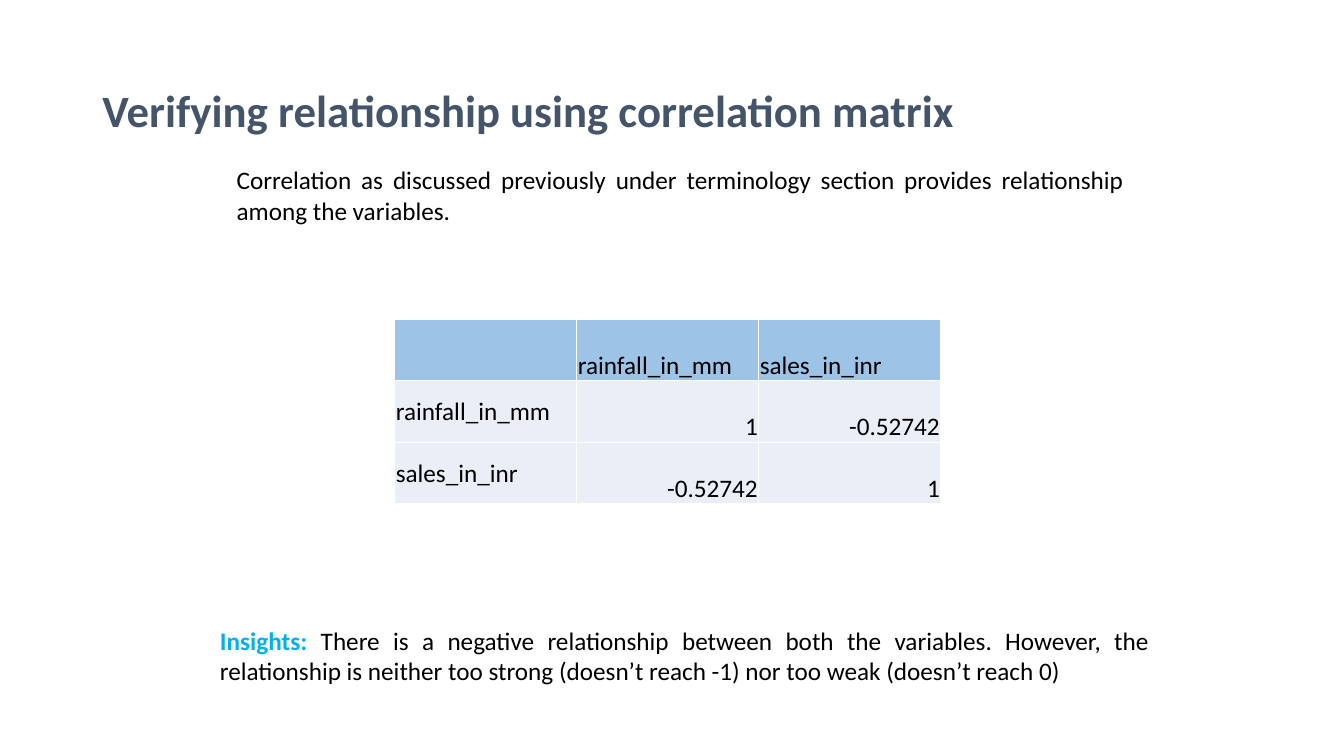
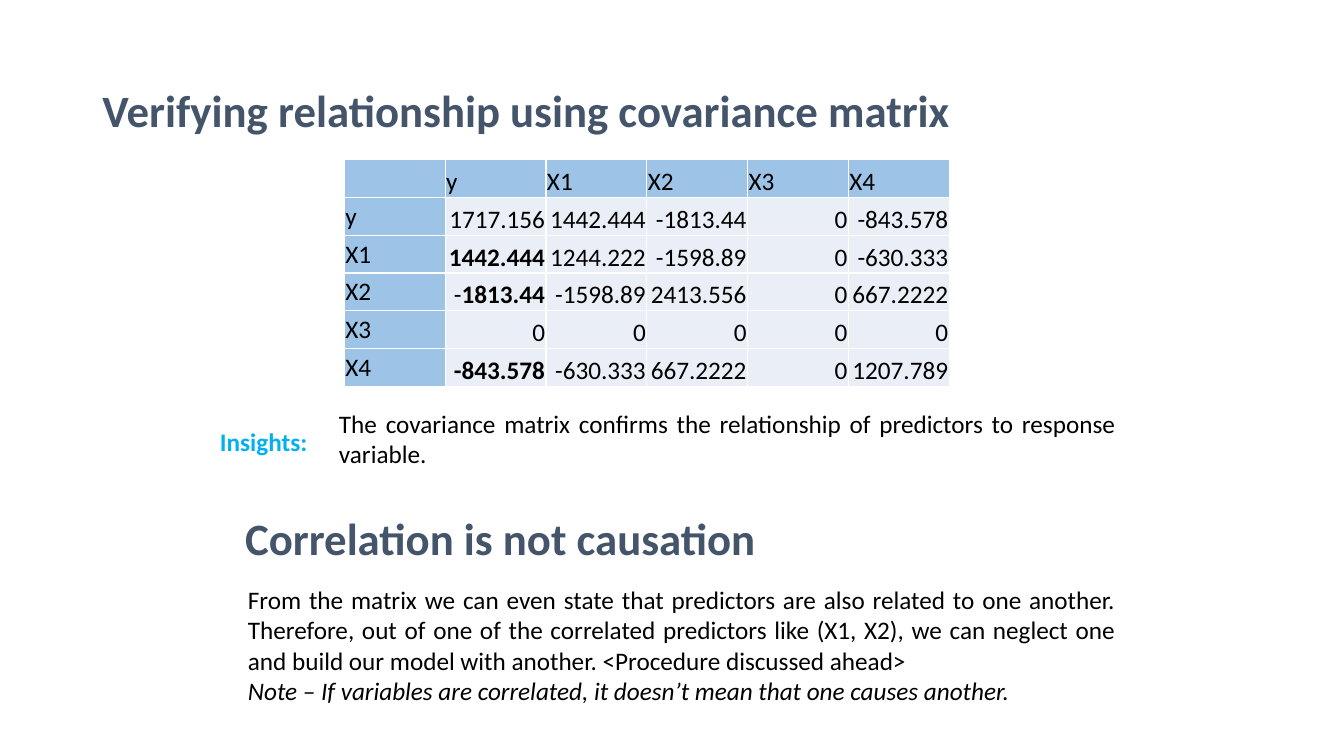
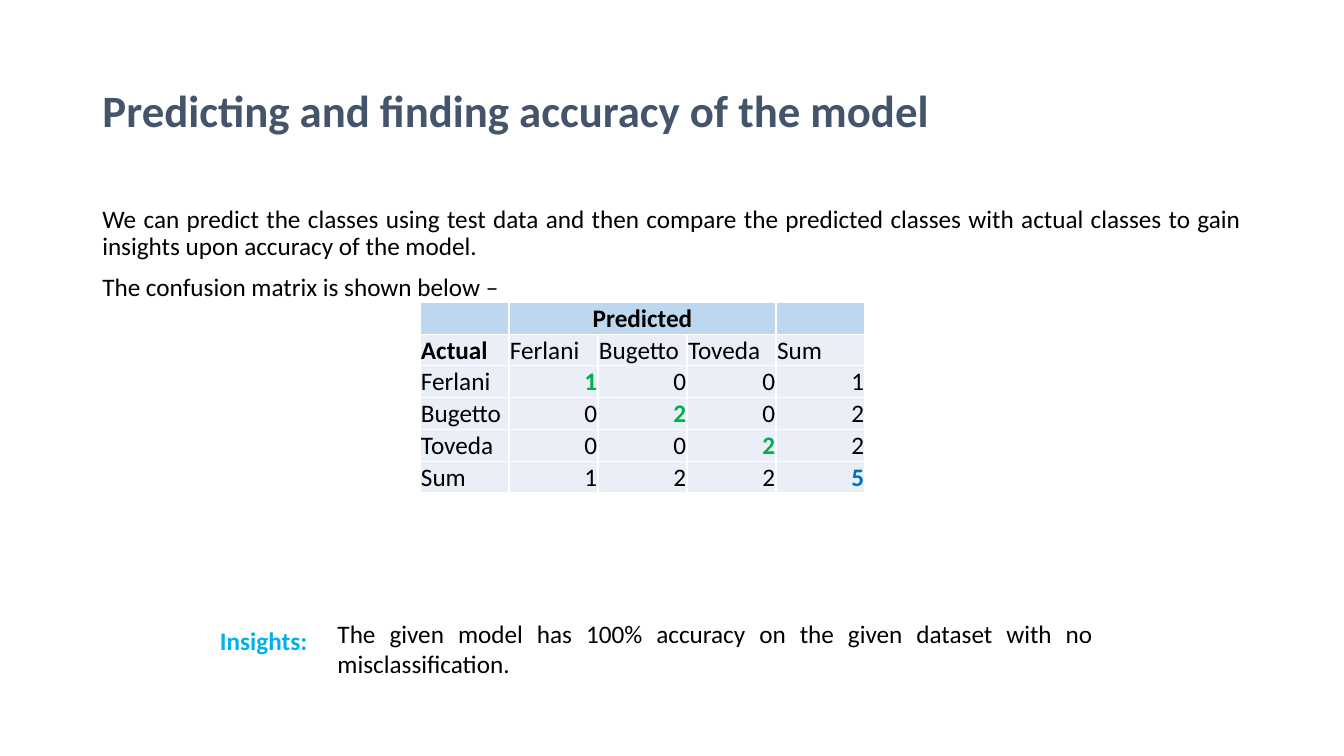
from lxml.etree import SubElement
from pptx import Presentation
from pptx.dml.color import RGBColor
from pptx.enum.text import MSO_ANCHOR as Anchor, PP_ALIGN as Align
from pptx.oxml.ns import qn
from pptx.util import Pt

BLACK = RGBColor(0x00, 0x00, 0x00)
WHITE = RGBColor(0xFF, 0xFF, 0xFF)
SLATE = RGBColor(0x44, 0x54, 0x6A)
CYAN = RGBColor(0x00, 0xB0, 0xF0)
GREEN = RGBColor(0x00, 0xB0, 0x50)
BLUE = RGBColor(0x00, 0x70, 0xC0)
HEADER_BLUE = RGBColor(0x9D, 0xC3, 0xE6)
LIGHT_BLUE = RGBColor(0xBD, 0xD7, 0xEE)
PALE = RGBColor(0xEA, 0xEF, 0xF7)

BODY = {"name": "Calibri", "size": Pt(18), "bold": False, "italic": False, "color": BLACK}
HEADING = {"size": Pt(32), "bold": True, "color": SLATE}
LABEL = {"bold": True, "color": CYAN}
BOLD = {"bold": True}
HIT = {"bold": True, "color": GREEN}
TOTAL = {"bold": True, "color": BLUE}
CELL_MARGINS = {"margin_left": Pt(0.72), "margin_right": Pt(0.72),
                "margin_top": Pt(0.72), "margin_bottom": Pt(0)}


def set_attributes(target, values):
    for name, value in values.items():
        setattr(target, name, value)


def write_runs(paragraph, content, **paragraph_format):
    """Fill a paragraph from a plain string or a list of (text, format) runs."""
    set_attributes(paragraph, paragraph_format)
    runs = [(content, {})] if isinstance(content, str) else content
    for text, changes in runs:
        run = paragraph.add_run()
        run.text = text
        font_format = {**BODY, **changes}
        color = font_format.pop("color")
        set_attributes(run.font, font_format)
        run.font.color.rgb = color


def add_borders(cell):
    properties = cell._tc.get_or_add_tcPr()
    for side in ("a:lnL", "a:lnR", "a:lnT", "a:lnB"):
        line = SubElement(properties, qn(side), w=str(Pt(1)))
        fill = SubElement(line, qn("a:solidFill"))
        SubElement(fill, qn("a:srgbClr"), val=str(WHITE))


class Deck:
    def __init__(self):
        self.presentation = Presentation()
        self.presentation.slide_width = Pt(960)
        self.presentation.slide_height = Pt(540)
        self.slide = None

    def start_slide(self, title):
        layout = self.presentation.slide_layouts[5]
        self.slide = self.presentation.slides.add_slide(layout)
        shape = self.slide.shapes.title
        set_attributes(shape, {"left": Pt(66), "top": Pt(28.8),
                               "width": Pt(828), "height": Pt(104.4)})
        shape.text_frame.vertical_anchor = Anchor.MIDDLE
        write_runs(shape.text_frame.paragraphs[0], [(title, HEADING)],
                   alignment=Align.JUSTIFY, line_spacing=0.9)

    def add_text(self, left, top, width, height, *paragraphs, wrap=True,
                 anchor=Anchor.TOP, gap=0, **paragraph_format):
        shape = self.slide.shapes.add_textbox(Pt(left), Pt(top), Pt(width), Pt(height))
        frame = shape.text_frame
        frame.word_wrap = wrap
        frame.vertical_anchor = anchor
        for index, content in enumerate(paragraphs):
            paragraph = frame.add_paragraph() if index else frame.paragraphs[0]
            if index and gap:
                paragraph.space_before = Pt(gap)
            write_runs(paragraph, content,
                       **{"alignment": Align.JUSTIFY, **paragraph_format})

    def add_insight_label(self, top):
        self.add_text(150, top, 77, 29, [("Insights:", LABEL)],
                      wrap=False, alignment=Align.LEFT)

    def add_matrix(self, left, top, column_width, row_height, rows,
                   header_fill=HEADER_BLUE, side_fill=PALE, label_rows=1):
        """Draw a table whose first column and first label_rows rows hold labels."""
        row_count, column_count = len(rows), len(rows[0])
        table = self.slide.shapes.add_table(
            row_count, column_count, Pt(left), Pt(top),
            Pt(column_width * column_count), Pt(row_height * row_count)).table
        table.first_row = table.horz_banding = False
        for column in table.columns:
            column.width = Pt(column_width)
        for row_index, row in enumerate(rows):
            table.rows[row_index].height = Pt(row_height)
            for column_index, content in enumerate(row):
                cell = table.cell(row_index, column_index)
                set_attributes(cell, CELL_MARGINS)
                is_side = column_index == 0 and row_index > 0
                cell.vertical_anchor = Anchor.MIDDLE if is_side else Anchor.BOTTOM
                add_borders(cell)
                cell.fill.solid()
                cell.fill.fore_color.rgb = (
                    header_fill if row_index == 0 else side_fill if is_side else PALE)
                if content:
                    is_value = column_index > 0 and row_index >= label_rows
                    write_runs(cell.text_frame.paragraphs[0], content,
                               alignment=Align.RIGHT if is_value else Align.LEFT)
        return table


def add_correlation_slide(deck):
    deck.start_slide("Verifying relationship using correlation matrix")
    deck.add_text(162, 114, 648, 51,
                  "Correlation as discussed previously under terminology section "
                  "provides relationship among the variables.")
    deck.add_text(150, 443, 678, 51, [
        ("Insights: ", LABEL),
        ("There is a negative relationship between both the variables. However, the "
         "relationship is neither too strong (doesn’t reach -1) nor too weak "
         "(doesn’t reach 0)", {})])
    deck.add_matrix(282, 228, 130, 44, [
        ["", "rainfall_in_mm", "sales_in_inr"],
        ["rainfall_in_mm", "1", "-0.52742"],
        ["sales_in_inr", "-0.52742", "1"]])


def add_covariance_slide(deck):
    deck.start_slide("Verifying relationship using covariance matrix")
    deck.add_matrix(246, 114, 72, 27, [
        ["", "y", "X1", "X2", "X3", "X4"],
        ["y", "1717.156", "1442.444", "-1813.44", "0", "-843.578"],
        ["X1", [("1442.444", BOLD)], "1244.222", "-1598.89", "0", "-630.333"],
        ["X2", [("-", {}), ("1813.44", BOLD)], "-1598.89", "2413.556", "0", "667.2222"],
        ["X3", "0", "0", "0", "0", "0"],
        ["X4", [("-843.578", BOLD)], "-630.333", "667.2222", "0", "1207.789"]],
        side_fill=HEADER_BLUE)
    deck.add_insight_label(301)
    deck.add_text(235, 288, 569, 51,
                  "The covariance matrix confirms the relationship of predictors "
                  "to response variable.")
    deck.add_text(168, 339, 648, 90, [("Correlation is not causation", HEADING)],
                  anchor=Anchor.MIDDLE)
    deck.add_text(170, 414, 634, 94,
                  "From the matrix we can even state that predictors are also related "
                  "to one another. Therefore, out of one of the correlated predictors "
                  "like (X1, X2), we can neglect one and build our model with another. "
                  "<Procedure discussed ahead>",
                  [("Note – If variables are correlated, it doesn’t mean that one "
                    "causes another.", {"italic": True})])


def add_accuracy_slide(deck):
    deck.start_slide("Predicting and finding accuracy of the model")
    deck.add_text(66, 144, 828, 343,
                  "We can predict the classes using test data and then compare the "
                  "predicted classes with actual classes to gain insights upon "
                  "accuracy of the model.",
                  "The confusion matrix is shown below –",
                  gap=10, line_spacing=0.9)
    table = deck.add_matrix(300, 216, 63.6, 22.7, [
        ["", [("Predicted", BOLD)], "", "", ""],
        [[("Actual", BOLD)], "Ferlani", "Bugetto", "Toveda", "Sum"],
        ["Ferlani", [("1", HIT)], "0", "0", "1"],
        ["Bugetto", "0", [("2", HIT)], "0", "2"],
        ["Toveda", "0", "0", [("2", HIT)], "2"],
        ["Sum", "1", "2", "2", [("5", TOTAL)]]],
        header_fill=LIGHT_BLUE, label_rows=2)
    predicted = table.cell(0, 1)
    predicted.merge(table.cell(0, 3))
    predicted.text_frame.paragraphs[0].alignment = Align.CENTER
    deck.add_text(234, 438, 554, 51,
                  "The given model has 100% accuracy on the given dataset with no "
                  "misclassification.")
    deck.add_insight_label(443)


def main():
    deck = Deck()
    add_correlation_slide(deck)
    add_covariance_slide(deck)
    add_accuracy_slide(deck)
    deck.presentation.save("out.pptx")


if __name__ == "__main__":
    main()
